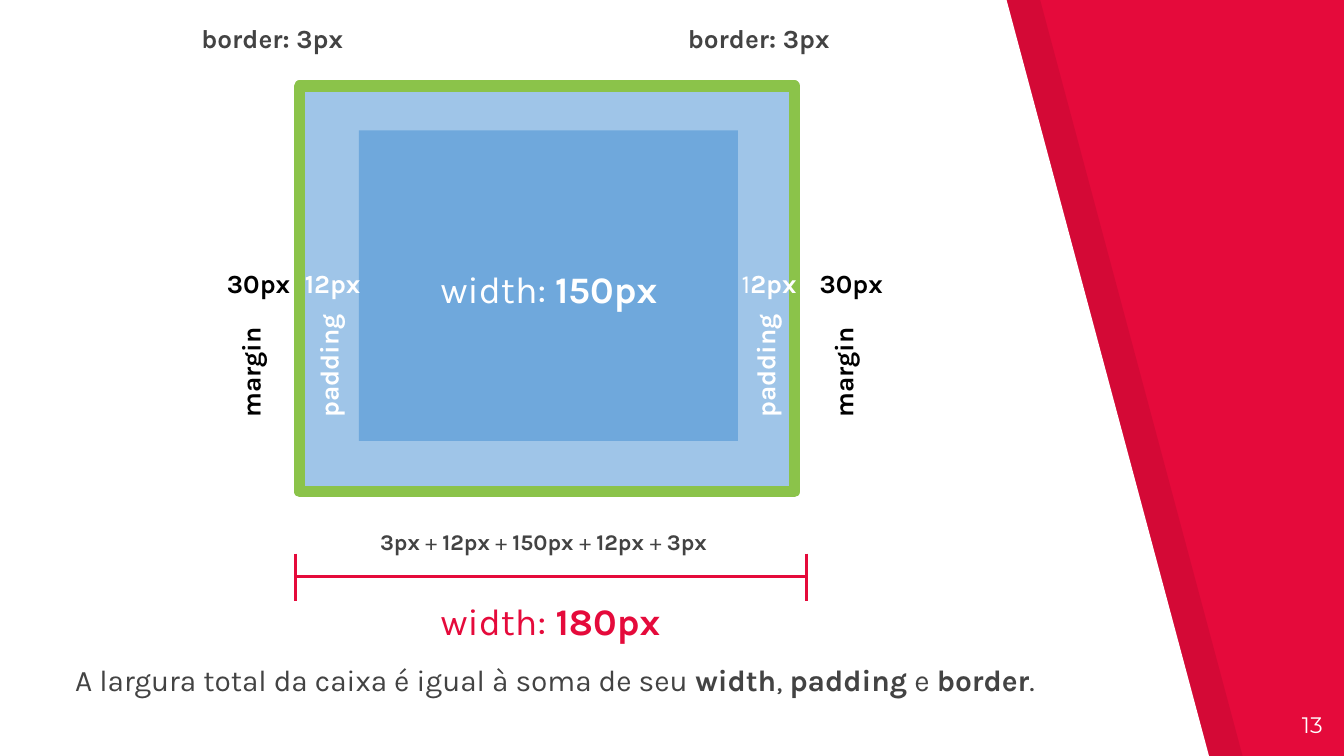
from dataclasses import dataclass

from lxml import etree
from pptx import Presentation
from pptx.dml.color import RGBColor
from pptx.enum import shapes, text
from pptx.oxml import ns
from pptx.util import Inches, Pt


@dataclass(frozen=True)
class Theme:
    red: str = "E50A3B"
    white: str = "FFFFFF"
    black: str = "000000"
    gray: str = "434343"
    green: str = "8BC34A"
    pale: str = "9FC5E8"
    blue: str = "6FA8DC"
    body: str = "Karla"
    number: str = "Montserrat"
    small: int = 12
    label: int = 14
    note: int = 16
    big: int = 20


@dataclass(frozen=True)
class Label:
    words: str
    left: float
    top: float
    width: float
    height: float
    color: str
    size: int
    font: str = Theme.body
    turn: int = 0
    align: text.PP_ALIGN = text.PP_ALIGN.LEFT
    before: int = 0


T = Theme()
deck = Presentation()
deck.slide_width, deck.slide_height = Inches(10), Inches(10 * 9 / 16)
slide = deck.slides.add_slide(deck.slide_layouts[6])


def paint(fill, color: str) -> None:
    fill.solid()
    fill.fore_color.rgb = RGBColor.from_string(color)


def add_xml(node, tag: str, **attrs: str):
    return etree.SubElement(node, ns.qn(tag), attrs)


def add_wedge(left: float, color: str, alpha: int = 100) -> None:
    points = [(left, 5.64), (left + 9, 5.64), (left + 7.49, 0)]
    pen = slide.shapes.build_freeform(Inches(left), Inches(-0.01))
    pen.add_line_segments([(Inches(x), Inches(y)) for x, y in points])
    wedge = pen.convert_to_shape()
    wedge.shadow.inherit = False
    wedge.line.fill.background()
    paint(wedge.fill, color)
    if alpha < 100:
        tint = wedge.fill._xPr.find(".//" + ns.qn("a:srgbClr"))
        add_xml(tint, "a:alpha", val=str(alpha * 1000))


def add_box(left: float, top: float, width: float, height: float,
            color: str, edge: str = "") -> None:
    box = slide.shapes.add_shape(shapes.MSO_SHAPE.RECTANGLE, Inches(left),
                                 Inches(top), Inches(width), Inches(height))
    box.shadow.inherit = False
    paint(box.fill, color)
    if edge:
        paint(box.line.fill, edge)
        box.line.width = Pt(6)
        add_xml(box.line._get_or_add_ln(), "a:round")
    else:
        box.line.fill.background()


def add_label(item: Label) -> None:
    box = slide.shapes.add_textbox(Inches(item.left), Inches(item.top),
                                   Inches(item.width), Inches(item.height))
    box.rotation = item.turn
    frame = box.text_frame
    frame.word_wrap = True
    frame.margin_left = frame.margin_right = Inches(0.1)
    frame.margin_top = frame.margin_bottom = Inches(0.1)
    para = frame.paragraphs[0]
    para.alignment = item.align
    para.space_before = Pt(item.before)
    para.font.name = item.font
    para.font.size = Pt(item.size)
    para.font.color.rgb = RGBColor.from_string(item.color)
    for place, part in enumerate(item.words.split("*")):
        if part:
            run = para.add_run()
            run.text = part
            run.font.bold = place % 2 == 1


def add_line(x1: float, y1: float, x2: float, y2: float) -> None:
    line = slide.shapes.add_connector(shapes.MSO_CONNECTOR.STRAIGHT, Inches(x1),
                                      Inches(y1), Inches(x2), Inches(y2))
    paint(line.line.fill, T.red)
    line.line.width = Pt(1.5)
    add_xml(line._element.spPr, "a:effectLst")


paint(slide.background.fill, T.red)
add_wedge(0.25, T.black, 7)
add_wedge(0, T.white)
add_box(2.23, 0.64, 3.68, 3.02, T.pale, T.green)
add_box(2.67, 0.97, 2.82, 2.31, T.blue)

labels = [
    Label("13", 9.34, 5.19, 0.6, 0.43, T.white, T.small, T.number,
          align=text.PP_ALIGN.RIGHT),
    Label("width: *150px*", 3.18, 1.88, 2.61, 0.43, T.white, T.big),
    Label("width:* 180px*", 3.18, 4.35, 2.06, 0.34, T.red, T.big),
    Label("*3px* + *12px* + *150px *+ *12px *+ *3px*", 2.73, 3.83, 2.74, 0.34,
          T.gray, T.small),
    Label("A largura total da caixa é igual à soma de seu *width*, *padding* "
          "e *border*.", 0.38, 4.82, 7.5, 0.63, T.gray, T.note,
          align=text.PP_ALIGN.CENTER, before=6),
]
labels += [Label("*border: 3px*", x, 0.07, 1.33, 0.43, T.gray, T.label)
           for x in (1.4, 5.02)]

for left, size, name, color in [
    (2.17, "*12px*", "padding", T.white),
    (5.42, "1*2px*", "padding", T.white),
    (1.59, "*30px*", "margin", T.black),
    (6, "*30px*", "margin", T.black),
]:
    labels += [
        Label(size, left, 1.89, 0.95, 0.43, color, T.label),
        Label(f"*{name}*", left - 0.25, 2.47, 1.04, 0.43, color, T.label,
              turn=270),
    ]

for item in labels:
    add_label(item)

add_line(2.2, 4.29, 6, 4.29)
for x in (2.2, 6):
    add_line(x, 4.12, x, 4.47)

deck.save("out.pptx")
